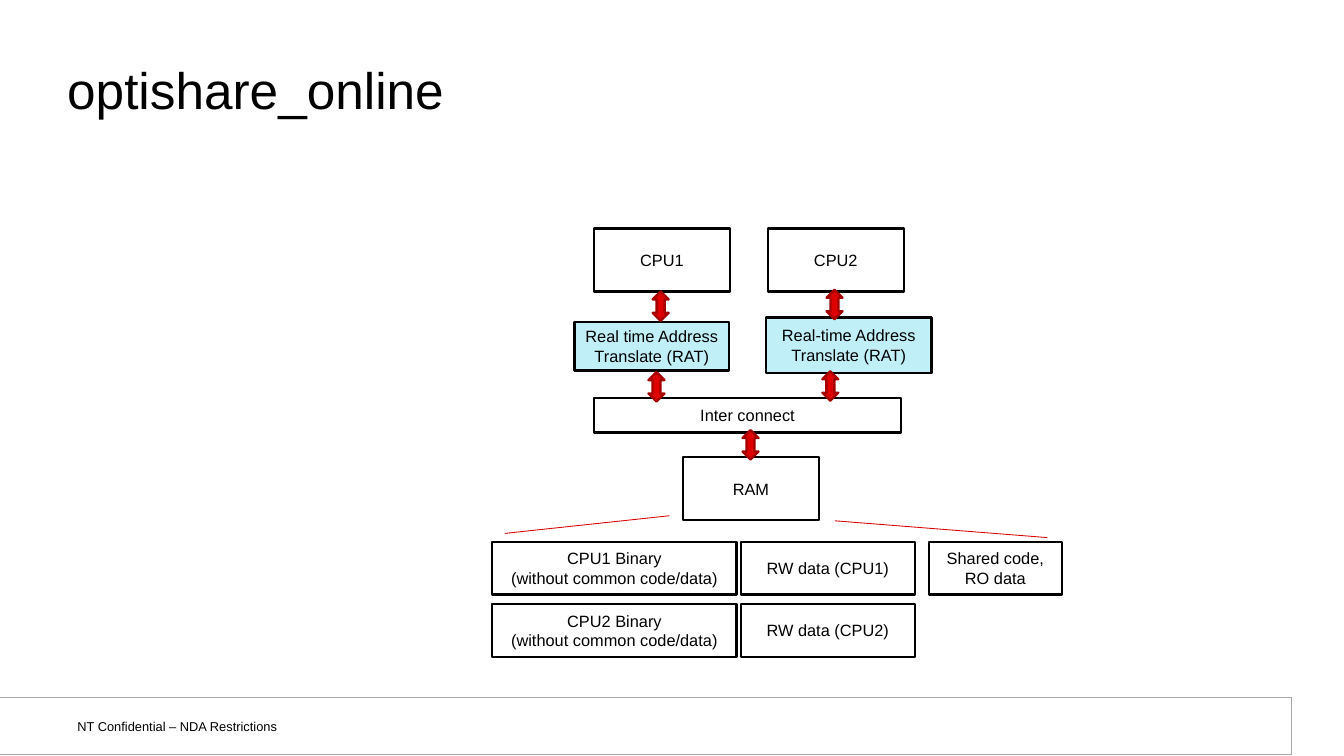
import pptx
import pptx.dml.color
import pptx.enum.shapes
import pptx.enum.text
import pptx.oxml
import pptx.util

Inches = pptx.util.Inches
Pt = pptx.util.Pt
Shapes = pptx.enum.shapes.MSO_SHAPE
Align = pptx.enum.text.PP_ALIGN
Anchor = pptx.enum.text.MSO_ANCHOR

FONT = "Arial"
COLORS = {
    "white": "FFFFFF",
    "black": "000000",
    "translator": "C0EFF7",
    "arrow": "DE0000",
    "arrow_edge": "A40000",
    "callout": "D90000",
    "footer_edge": "AAAAAA",
}


def color(name):
    return pptx.dml.color.RGBColor.from_string(COLORS[name])


def set_insets(frame, horizontal, vertical):
    frame.margin_left = frame.margin_right = Inches(horizontal)
    frame.margin_top = frame.margin_bottom = Inches(vertical)


def add_lines(frame, lines, size, align):
    """Write each line as a paragraph of its own."""
    frame.word_wrap = True
    for index, line in enumerate(lines):
        paragraph = frame.paragraphs[0] if index == 0 else frame.add_paragraph()
        paragraph.alignment = align
        run = paragraph.add_run()
        run.text = line
        run.font.name = FONT
        run.font.size = Pt(size)
        run.font.color.rgb = color("black")


def add_shape(slide, kind, left, top, width, height, fill, edge, weight=2):
    shape = slide.shapes.add_shape(
        kind, Inches(left), Inches(top), Inches(width), Inches(height))
    shape.shadow.inherit = False
    shape.fill.solid()
    shape.fill.fore_color.rgb = color(fill)
    shape.line.color.rgb = color(edge)
    shape.line.width = Pt(weight)
    return shape


def add_block(slide, left, top, width, height, lines, fill="white"):
    block = add_shape(slide, Shapes.RECTANGLE, left, top, width, height, fill, "black")
    block.text_frame.vertical_anchor = Anchor.MIDDLE
    add_lines(block.text_frame, lines, 14, Align.CENTER)


def add_bus_arrow(slide, left, top):
    add_shape(slide, Shapes.UP_DOWN_ARROW, left, top, 0.19, 0.35, "arrow", "arrow_edge")


def add_callout_line(slide, start, end):
    line = slide.shapes.add_connector(
        pptx.enum.shapes.MSO_CONNECTOR.STRAIGHT, *map(Inches, start + end))
    line.line.color.rgb = color("callout")
    line.line.width = Pt(0.75)
    properties = line._element.spPr
    properties.append(properties.makeelement(pptx.oxml.ns.qn("a:effectLst"), {}))


def add_title(slide, left, top, width, height):
    title = slide.shapes.title
    title.left, title.top = Inches(left), Inches(top)
    title.width, title.height = Inches(width), Inches(height)
    frame = title.text_frame
    frame.auto_size = pptx.enum.text.MSO_AUTO_SIZE.NONE
    frame.vertical_anchor = Anchor.MIDDLE
    set_insets(frame, 0, 0)
    add_lines(frame, ["optishare_online"], 44, Align.LEFT)
    frame.paragraphs[0].line_spacing = 0.9


def add_footer(slide, left, top, width, height):
    add_shape(slide, Shapes.RECTANGLE, left, top, width, height,
              "white", "footer_edge", 0.75)
    label = slide.shapes.add_textbox(
        Inches(left + 0.82), Inches(top + 0.18), Inches(3.69), Inches(0.31))
    set_insets(label.text_frame, 0.13, 0.07)
    add_lines(label.text_frame, ["NT Confidential – NDA Restrictions"], 11, Align.LEFT)


def add_processors(slide, left, top):
    """Draw the CPUs, their address translators and the interconnect."""
    cpu_width, cpu_height, column_step = 1.62, 0.75, 2.07
    translators = [
        ("Real time Address", -0.23, 1.11, 1.84, 0.58),
        ("Real-time Address", -0.02, 1.06, 1.97, 0.66),
    ]
    add_block(slide, left, top + 2.02, 3.66, 0.41, ["Inter connect"])
    for index, (label, shift, drop, width, height) in enumerate(translators):
        column = left + index * column_step
        add_block(slide, column, top, cpu_width, cpu_height, [f"CPU{index + 1}"])
        add_block(slide, column + shift, top + drop, width, height,
                  [label, "Translate (RAT)"], "translator")
        add_bus_arrow(slide, column + 0.7, top + cpu_height - 0.02 * index)
        add_bus_arrow(slide, column + 0.65, top + 1.71 - 0.01 * index)


def add_memory(slide, left, top):
    """Draw the RAM block with the lines that open it up."""
    add_block(slide, left, top, 1.62, 0.75, ["RAM"])
    add_bus_arrow(slide, left + 0.71, top - 0.32)
    add_callout_line(slide, (left - 0.16, top + 0.7), (left - 2.12, top + 0.91))
    add_callout_line(slide, (left + 1.81, top + 0.76), (left + 4.34, top + 0.96))


def add_memory_map(slide, left, top):
    height, row_step = 0.63, 0.74
    for index in range(2):
        cpu, row = f"CPU{index + 1}", top + index * row_step
        add_block(slide, left, row, 2.91, height,
                  [f"{cpu} Binary", "(without common code/data)"])
        add_block(slide, left + 2.96, row, 2.07, height, [f"RW data ({cpu})"])
    add_block(slide, left + 5.2, top, 1.58, height, ["Shared code, RO data"])


def main():
    presentation = pptx.Presentation()
    presentation.slide_width = Inches(16)
    presentation.slide_height = Inches(9)
    title_only = presentation.slide_layouts[5]
    slide = presentation.slides.add_slide(title_only)
    add_footer(slide, -0.03, 8.3, 15.4, 0.68)
    add_title(slide, 0.8, 0.36, 14.4, 1.5)
    add_processors(slide, 7.07, 2.72)
    add_memory(slide, 8.13, 5.44)
    add_memory_map(slide, 5.86, 6.45)
    presentation.save("out.pptx")


if __name__ == "__main__":
    main()
